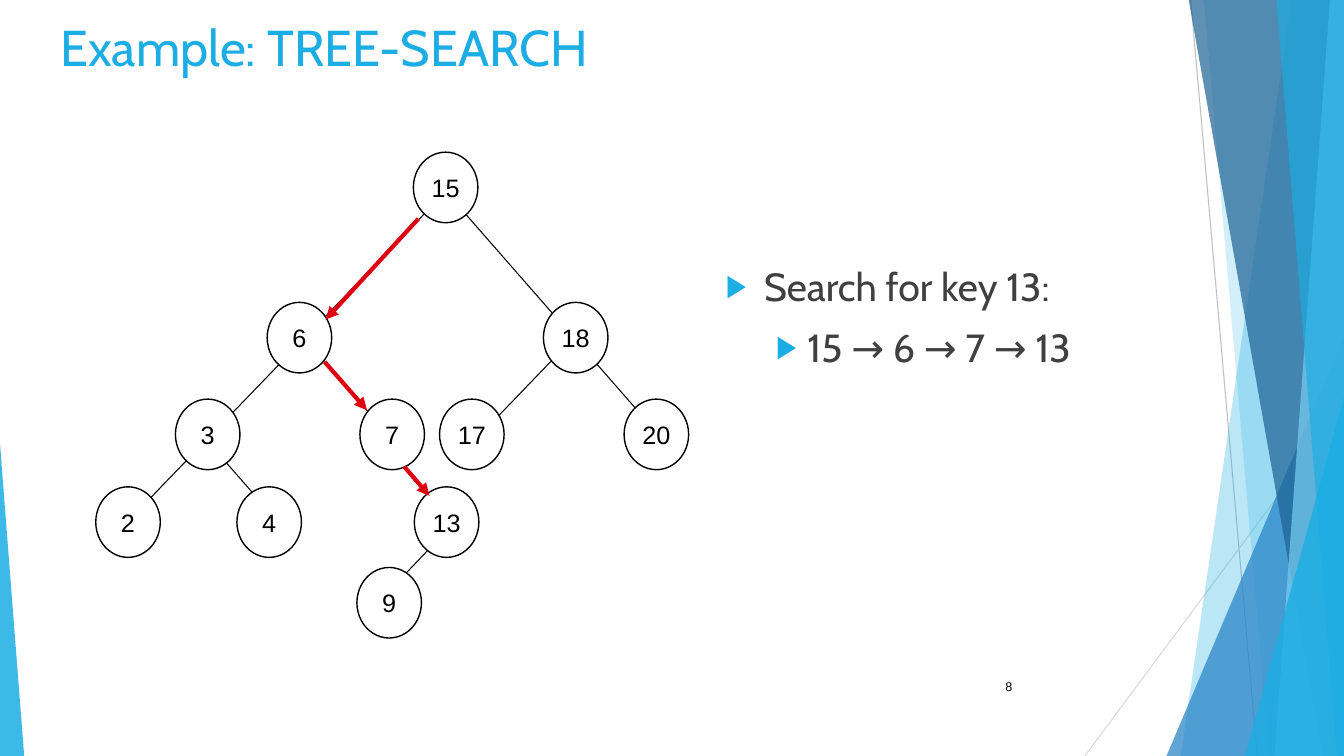
import pptx
import pptx.util
import pptx.dml.color
import pptx.enum.shapes
import pptx.enum.text
import pptx.oxml
import pptx.oxml.ns
import pptx.oxml.xmlchemy
from pptx.util import Inches

SLIDE_W, SLIDE_H = 13.33, 7.5
SKY, INK, PATH_RED = "1CADE4", "000000", "DD0111"
ALIGN = pptx.enum.text.PP_ALIGN
ANCHOR = pptx.enum.text.MSO_ANCHOR
SHAPES = pptx.enum.shapes.MSO_SHAPE

TITLE = "Example: TREE-SEARCH"
PAGE_NUMBER = "8"
# text, left indent, hanging indent
SEARCH_STEPS = [
    ("Search for key 13:", 0.38, 0.38),
    ("15 → 6 → 7 → 13", 0.81, 0.31),
]

# Decoration, back to front: from, to, colour
HAIRLINES = [
    ((11.81, 0), (12.47, 7.5), "BFBFBF"),
    ((13.33, 4.04), (10.76, 7.5), "D9D9D9"),
]
# top left x, bottom left x, colour, opacity; each band runs to the right edge
BANDS_BEHIND = [(12.81, 11.71, SKY, 30), (11.94, 12.59, SKY, 20)]
BANDS_FRONT = [(11.79, 13.12, "1D6294", 70), (13.19, 12.64, "77CEEF", 70),
               (12.66, 13.26, SKY, 65)]
# left, top, width, apex position, colour, opacity; each wedge runs to the bottom edge
WEDGE_BEHIND = (11.57, 3.34, 1.76, 1, "2683C6", 72)
WEDGES_FRONT = [(12.35, 3.94, 0.98, 1, SKY, 80), (0, 4.4, 0.24, 0, SKY, 85)]

# Tree: node left edges by level top
NODE_W, NODE_H = 0.64, 0.7
LEVELS = {
    1.51: {15: 4.1},
    3: {6: 2.65, 18: 5.39},
    3.96: {3: 1.74, 7: 3.57, 17: 4.36, 20: 6.19},
    4.83: {2: 0.95, 4: 2.35, 13: 4.11},
    5.63: {9: 3.54},
}
BRANCHES = [
    ((3.69, 6.04), (4.51, 5.18)),
    ((3.82, 4.43), (4.6, 5.33)),
    ((4.69, 4.39), (5.72, 3.32)),
    ((2.83, 5.26), (1.86, 4.15)),
    ((3.92, 4.39), (2.94, 3.28)),
    ((6.67, 4.47), (4.23, 1.68)),
    ((1.28, 5.16), (4.48, 1.84)),
]
SEARCH_PATH = [
    ((4.15, 2.17), (3.23, 3.17)),
    ((3.22, 3.59), (3.64, 4.07)),
    ((4.01, 4.63), (4.26, 4.92)),
]

deck = pptx.Presentation()
deck.slide_width, deck.slide_height = Inches(SLIDE_W), Inches(SLIDE_H)
slide = deck.slides.add_slide(deck.slide_layouts[6])


def rgb(code):
    return pptx.dml.color.RGBColor.from_string(code)


def add_xml(parent, tag, **attributes):
    child = parent.makeelement(pptx.oxml.ns.qn(tag), attributes)
    parent.append(child)
    return child


def add_line(start, end, color, width=0.75, arrow=False):
    line = slide.shapes.add_connector(
        pptx.enum.shapes.MSO_CONNECTOR.STRAIGHT,
        *(Inches(value) for value in start + end))
    line.line.color.rgb = rgb(color)
    line.line.width = pptx.util.Pt(width)
    if arrow:
        add_xml(line.line._get_or_add_ln(), "a:tailEnd", type="triangle")
    add_xml(line.element.spPr, "a:effectLst")


def paint(shape, color, opacity):
    """Fill a decoration shape with a translucent colour and no outline."""
    shape.shadow.inherit = False
    shape.fill.solid()
    shape.fill.fore_color.rgb = rgb(color)
    shape.line.fill.background()
    fill_color = shape.element.spPr.find(".//" + pptx.oxml.ns.qn("a:srgbClr"))
    add_xml(fill_color, "a:alpha", val=str(opacity * 1000))


def add_band(top_x, bottom_x, color, opacity):
    corners = [(top_x, 0), (SLIDE_W, 0), (SLIDE_W, SLIDE_H), (bottom_x, SLIDE_H)]
    points = [(Inches(x), Inches(y)) for x, y in corners]
    outline = slide.shapes.build_freeform(*points[0])
    outline.add_line_segments(points[1:], close=True)
    paint(outline.convert_to_shape(), color, opacity)


def add_wedge(left, top, width, apex, color, opacity):
    wedge = slide.shapes.add_shape(
        SHAPES.ISOSCELES_TRIANGLE, Inches(left), Inches(top),
        Inches(width), Inches(SLIDE_H - top))
    wedge.adjustments[0] = apex
    paint(wedge, color, opacity)


def write(paragraph, text, size, color=INK, font="Arial", align=ALIGN.LEFT):
    paragraph.alignment = align
    run = paragraph.add_run()
    run.text = text
    run.font.size = pptx.util.Pt(size)
    run.font.name = font
    run.font.color.rgb = rgb(color)


def add_frame(left, top, width, height, anchor=ANCHOR.TOP):
    box = slide.shapes.add_textbox(
        Inches(left), Inches(top), Inches(width), Inches(height))
    box.text_frame.word_wrap = True
    box.text_frame.vertical_anchor = anchor
    return box.text_frame


def add_bullet(paragraph, indent, hanging):
    properties = paragraph._p.get_or_add_pPr()
    properties.set("marL", str(Inches(indent)))
    properties.set("indent", str(-Inches(hanging)))
    add_xml(add_xml(properties, "a:buClr"), "a:srgbClr", val=SKY)
    add_xml(properties, "a:buSzPct", val="80000")
    add_xml(properties, "a:buFont", typeface="Arial")
    add_xml(properties, "a:buChar", char="▶")


def add_node(key, left, top):
    node = slide.shapes.add_shape(
        SHAPES.OVAL, Inches(left), Inches(top), Inches(NODE_W), Inches(NODE_H))
    node.shadow.inherit = False
    node.fill.solid()
    node.fill.fore_color.rgb = rgb("FFFFFF")
    node.line.color.rgb = rgb(INK)
    node.line.width = pptx.util.Pt(1)
    node.text_frame.word_wrap = False
    node.text_frame.vertical_anchor = ANCHOR.MIDDLE
    write(node.text_frame.paragraphs[0], str(key), 18, align=ALIGN.CENTER)


for start, end, color in HAIRLINES:
    add_line(start, end, color)
for band in BANDS_BEHIND:
    add_band(*band)
add_wedge(*WEDGE_BEHIND)
for band in BANDS_FRONT:
    add_band(*band)
for wedge in WEDGES_FRONT:
    add_wedge(*wedge)

page = add_frame(9.39, 6.61, 0.75, 0.4, ANCHOR.MIDDLE)
write(page.paragraphs[0], PAGE_NUMBER, 9, align=ALIGN.RIGHT)
heading = add_frame(0.5, 0.11, 12, 0.99)
write(heading.paragraphs[0], TITLE, 36, SKY, "Cabin")

steps = add_frame(7.1, 2.55, 4.42, 1.92)
for level, (step, indent, hanging) in enumerate(SEARCH_STEPS):
    paragraph = steps.add_paragraph() if level else steps.paragraphs[0]
    paragraph.level = level
    paragraph.space_before = pptx.util.Pt(10)
    add_bullet(paragraph, indent, hanging)
    write(paragraph, step, 28, "404040", "Cabin")

for start, end in BRANCHES:
    add_line(start, end, INK)
for top, nodes in LEVELS.items():
    for key, left in nodes.items():
        add_node(key, left, top)
for start, end in SEARCH_PATH:
    add_line(start, end, PATH_RED, 3, arrow=True)

deck.save("out.pptx")
